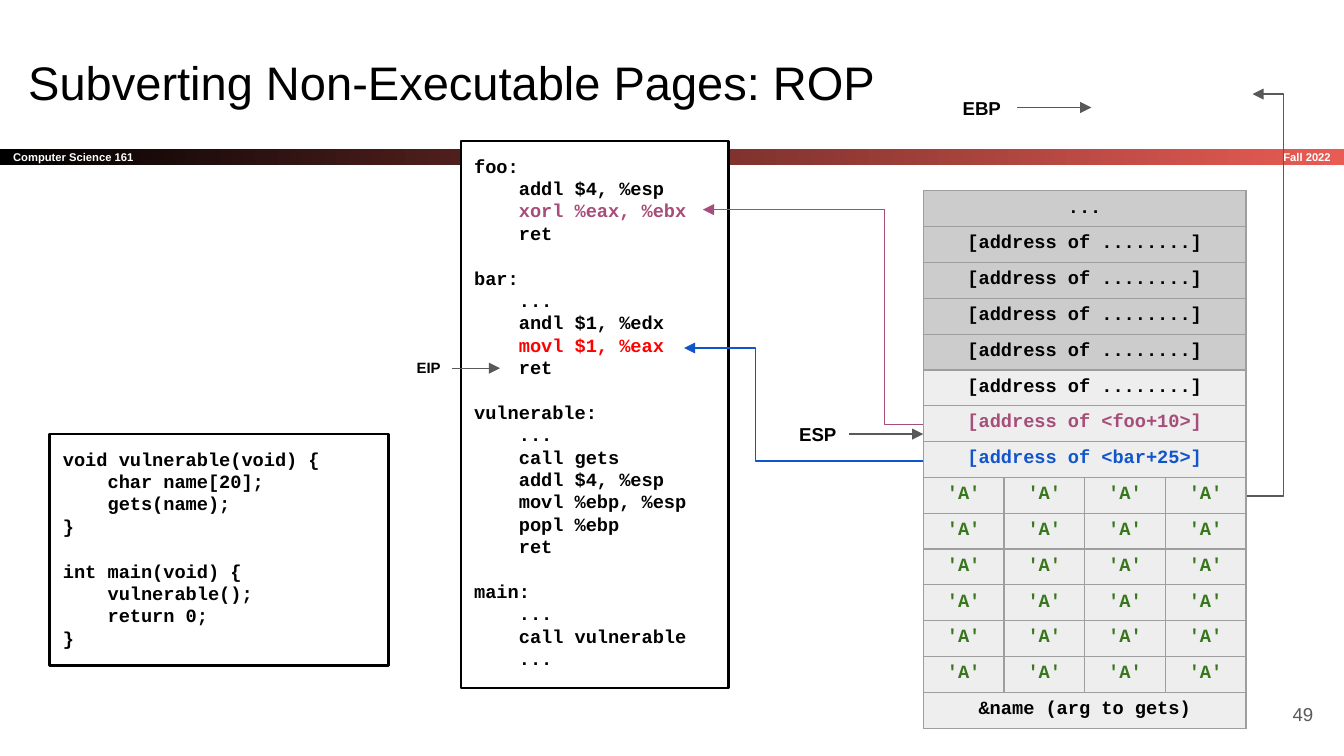
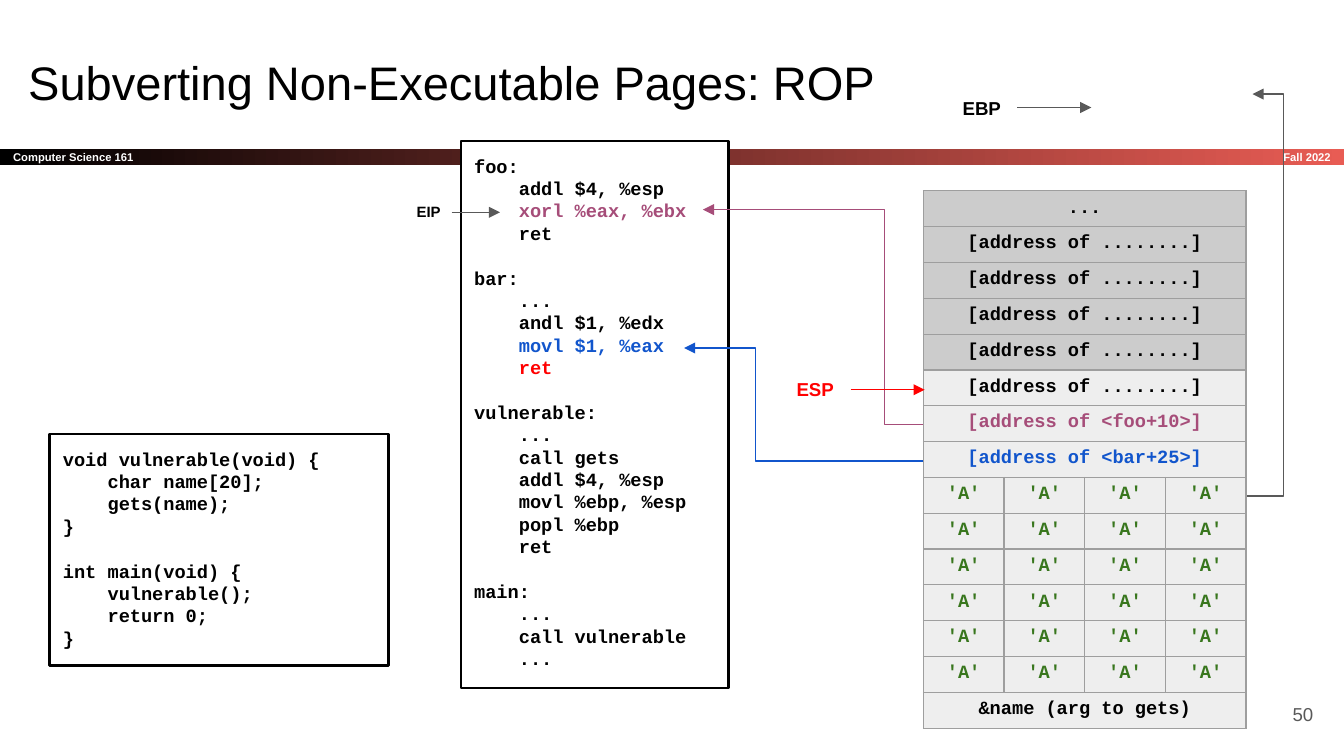
from lxml.etree import SubElement
from pptx import Presentation
from pptx.dml.color import RGBColor
from pptx.enum.shapes import MSO_CONNECTOR, MSO_SHAPE
from pptx.enum.text import MSO_ANCHOR, MSO_AUTO_SIZE, PP_ALIGN
from pptx.oxml.ns import qn
from pptx.util import Inches, Pt

COLORS = {
    "black": "000000", "white": "FFFFFF", "band_end": "E85C54",
    "gray": "595959", "border": "9E9E9E", "used": "CCCCCC", "free": "EEEEEE",
    "foo": "A64D79", "bar": "1155CC", "name": "38761D", "current": "FF0000",
}
SANS, MONO = "Arial", "Courier New"
CODE_LEADING = 12

TITLE = "Subverting Non-Executable Pages: ROP"
COURSE, TERM = "Computer Science 161", "Fall 2022"

C_CODE = [
    ["void vulnerable(void) {", "    char name[20];", "    gets(name);", "}"],
    ["int main(void) {", "    vulnerable();", "    return 0;", "}"],
]
ASSEMBLY = [
    ["foo:", "    addl $4, %esp", "    xorl %eax, %ebx", "    ret"],
    ["bar:", "    ...", "    andl $1, %edx", "    movl $1, %eax", "    ret"],
    ["vulnerable:", "    ...", "    call gets\n    addl $4, %esp",
     "    movl %ebp, %esp", "    popl %ebp", "    ret"],
    ["main:", "    ...", "    call vulnerable", "    ..."],
]
UNKNOWN = "[address of ........]"
STACK = [
    (["..."], "used", "black"),
    *[([UNKNOWN], "used", "black")] * 4,
    ([UNKNOWN], "free", "black"),
    (["[address of <foo+10>]"], "free", "foo"),
    (["[address of <bar+25>]"], "free", "bar"),
    *[(["'A'"] * 4, "free", "name")] * 6,
    (["&name (arg to gets)"], "free", "black"),
]
STACK_LEFT, STACK_TOP, STACK_WIDTH, STACK_HEIGHT = 6.87, 1.42, 2.4, 4.0
STACK_COLUMNS = 4

# Code colours are keyed by (block label, line).
FOO_LINE = ("foo:", "    xorl %eax, %ebx")
MOVE_LINE = ("bar:", "    movl $1, %eax")
RETURN_LINE = ("bar:", "    ret")
STEPS = [
    {"number": 49, "eip": 2.74, "esp": (5.82, 3.05), "esp_arrow": (6.32, 3.23),
     "esp_colors": ("black", "gray"),
     "code": {FOO_LINE: "foo", MOVE_LINE: "current"}},
    {"number": 50, "eip": 1.58, "esp": (5.8, 2.71), "esp_arrow": (6.33, 2.9),
     "esp_colors": ("current", "current"),
     "code": {FOO_LINE: "foo", MOVE_LINE: "bar", RETURN_LINE: "current"}},
]
SAVED_EBP_PATH = [(9.27, 3.69), (9.55, 3.69), (9.55, 0.7), (9.32, 0.7)]
FOO_PATH = [(6.88, 3.16), (6.58, 3.16), (6.58, 1.56), (5.23, 1.56)]
BAR_PATH = [(6.87, 3.43), (5.62, 3.43), (5.62, 2.59), (5.09, 2.59)]


def rgb(name):
    return RGBColor.from_string(COLORS[name])


def write(para, text, size=10, font=SANS, color="black", bold=True,
          align=PP_ALIGN.LEFT, leading=None, gap=0):
    """Fill a paragraph; a newline in the text becomes a line break."""
    para.alignment = align
    para.space_before = Pt(gap)
    if leading:
        para.line_spacing = Pt(leading)
    for index, line in enumerate(text.split("\n")):
        if index:
            para.add_line_break()
        span = para.add_run()
        span.text = line
        span.font.size = Pt(size)
        span.font.name = font
        span.font.bold = bold
        span.font.color.rgb = rgb(color)


def set_frame(frame, inset=(0.1, 0.1), anchor=MSO_ANCHOR.TOP):
    frame.word_wrap = True
    frame.auto_size = MSO_AUTO_SIZE.NONE
    frame.vertical_anchor = anchor
    frame.margin_left = frame.margin_right = Inches(inset[0])
    frame.margin_top = frame.margin_bottom = Inches(inset[1])


def add_label(page, text, at, inset=(0.1, 0.1), anchor=MSO_ANCHOR.TOP, **style):
    box = page.shapes.add_textbox(*map(Inches, at))
    set_frame(box.text_frame, inset, anchor)
    write(box.text_frame.paragraphs[0], text, **style)


def add_rectangle(page, at):
    box = page.shapes.add_shape(MSO_SHAPE.RECTANGLE, *map(Inches, at))
    box.shadow.inherit = False
    return box


def add_code(page, blocks, at, colors):
    box = add_rectangle(page, at)
    box.fill.solid()
    box.fill.fore_color.rgb = rgb("white")
    box.line.color.rgb = rgb("black")
    box.line.width = Pt(1.5)
    frame = box.text_frame
    set_frame(frame)
    for block_index, block in enumerate(blocks):
        for line_index, line in enumerate(block):
            first = block_index == line_index == 0
            para = frame.paragraphs[0] if first else frame.add_paragraph()
            starts_block = line_index == 0 and not first
            write(para, line, font=MONO, leading=CODE_LEADING,
                  color=colors.get((block[0], line), "black"),
                  gap=CODE_LEADING if starts_block else 0)


def style_arrow(line_shape, color):
    line_shape.line.color.rgb = rgb(color)
    line_shape.line.width = Pt(0.75)
    outline = line_shape.element.spPr.find(qn("a:ln"))
    SubElement(outline, qn("a:tailEnd"), type="triangle")


def add_arrow(page, left, y, length, color="gray"):
    arrow = page.shapes.add_connector(
        MSO_CONNECTOR.STRAIGHT, Inches(left), Inches(y),
        Inches(left + length), Inches(y))
    style_arrow(arrow, color)
    SubElement(arrow.element.spPr, qn("a:effectLst"))


def add_bent_arrow(page, points, color):
    start, *rest = [(Inches(x), Inches(y)) for x, y in points]
    builder = page.shapes.build_freeform(*start)
    builder.add_line_segments(rest, close=False)
    arrow = builder.convert_to_shape()
    arrow.shadow.inherit = False
    arrow.fill.background()
    style_arrow(arrow, color)


def style_cell(cell, fill):
    properties = cell._tc.get_or_add_tcPr()
    for side in ("a:lnL", "a:lnR", "a:lnT", "a:lnB"):
        border = SubElement(properties, qn(side), w=str(Pt(0.75)))
        solid = SubElement(border, qn("a:solidFill"))
        SubElement(solid, qn("a:srgbClr"), val=COLORS["border"])
    cell.fill.solid()
    cell.fill.fore_color.rgb = rgb(fill)
    cell.margin_left = cell.margin_right = Inches(0.05)
    cell.margin_top = cell.margin_bottom = Inches(0.05)


def add_stack(page):
    table = page.shapes.add_table(
        len(STACK), STACK_COLUMNS, Inches(STACK_LEFT), Inches(STACK_TOP),
        Inches(STACK_WIDTH), Inches(STACK_HEIGHT)).table
    table.first_row = table.horz_banding = False
    for column in table.columns:
        column.width = Inches(STACK_WIDTH / STACK_COLUMNS)
    for row_index, (texts, fill, color) in enumerate(STACK):
        table.rows[row_index].height = Inches(STACK_HEIGHT / len(STACK))
        cells = [table.cell(row_index, column) for column in range(STACK_COLUMNS)]
        for cell in cells:
            style_cell(cell, fill)
        if len(texts) == 1:
            cells[0].merge(cells[-1])
        for cell, text in zip(cells, texts):
            write(cell.text_frame.paragraphs[0], text, font=MONO, color=color,
                  align=PP_ALIGN.CENTER)


def add_frame(page, number):
    """Add the title, the course band and the page number."""
    title = page.shapes.title
    title.left, title.top = Inches(0.11), Inches(0.3)
    title.width, title.height = Inches(9.32), Inches(0.63)
    set_frame(title.text_frame)
    write(title.text_frame.paragraphs[0], TITLE, size=25.2, bold=False)

    band = add_rectangle(page, (0, 1.11, 10, 0.12))
    band.line.fill.background()
    band.fill.gradient()
    band.fill.gradient_angle = 0
    for stop, color in zip(band.fill.gradient_stops, ("black", "band_end")):
        stop.color.rgb = rgb(color)
    set_frame(band.text_frame, (0.1, 0), MSO_ANCHOR.MIDDLE)
    write(band.text_frame.paragraphs[0], COURSE, size=6, color="white")
    add_label(page, TERM, (8.34, 1.11, 1.66, 0.12), inset=(0.1, 0),
              anchor=MSO_ANCHOR.MIDDLE, size=6, color="white",
              align=PP_ALIGN.RIGHT)
    add_label(page, str(number), (9.27, 5.1, 0.6, 0.43),
              anchor=MSO_ANCHOR.MIDDLE, color="gray", bold=False,
              align=PP_ALIGN.RIGHT)


def add_step(deck, step):
    page = deck.slides.add_slide(deck.slide_layouts[5])
    add_frame(page, step["number"])
    add_code(page, ASSEMBLY, (3.43, 1.05, 1.99, 4.07), step["code"])
    add_code(page, C_CODE, (0.37, 3.23, 2.52, 1.72), {})

    add_label(page, "EIP", (3.02, step["eip"] - 0.12, 0.34, 0.24),
              inset=(0.05, 0.05), size=8, align=PP_ALIGN.CENTER)
    add_arrow(page, 3.36, step["eip"], 0.36)
    add_label(page, "EBP", (7.04, 0.62, 0.53, 0.37), align=PP_ALIGN.CENTER)
    add_arrow(page, 7.57, 0.8, 0.55)

    add_bent_arrow(page, SAVED_EBP_PATH, "gray")
    add_bent_arrow(page, FOO_PATH, "foo")
    add_stack(page)
    add_bent_arrow(page, BAR_PATH, "bar")

    text_color, arrow_color = step["esp_colors"]
    add_label(page, "ESP", (*step["esp"], 0.53, 0.37), color=text_color,
              align=PP_ALIGN.CENTER)
    add_arrow(page, *step["esp_arrow"], 0.55, arrow_color)


def main():
    deck = Presentation()
    deck.slide_width = Inches(10)
    deck.slide_height = deck.slide_width * 9 // 16
    for step in STEPS:
        add_step(deck, step)
    deck.save("out.pptx")


if __name__ == "__main__":
    main()
